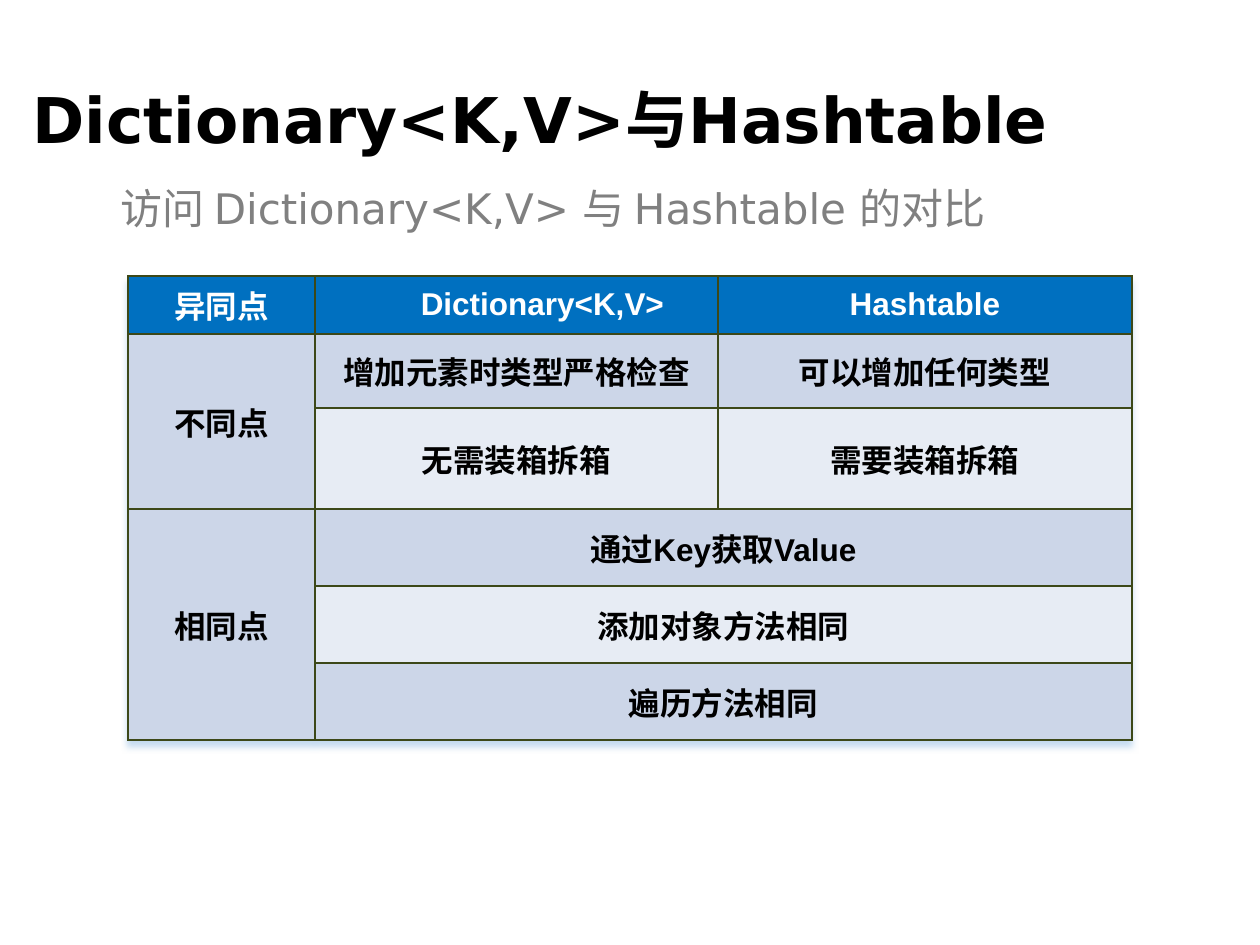
"""Build a slide comparing Dictionary<K,V> with Hashtable."""
from lxml.etree import SubElement
from pptx import Presentation
from pptx.dml.color import RGBColor
from pptx.enum.text import MSO_ANCHOR, PP_ALIGN
from pptx.oxml import parse_xml
from pptx.oxml.ns import nsdecls, qn
from pptx.util import Emu, Inches, Pt

PIXEL = 914400 / 126
COLORS = {
    "black": "000000", "white": "FFFFFF", "gray": "808080", "header": "0070C0",
    "dark_band": "CCD6E8", "light_band": "E7ECF4", "border": "3C4818", "shadow": "9DC3E6",
}


def px(length):
    """Turn pixels into EMU."""
    return Emu(round(length * PIXEL))


class ComparisonSlide:
    """Hold the style and the slide."""

    heading_font = "DejaVu Sans"
    table_font = "Arial"

    def __init__(self, presentation):
        """Add a title-only slide."""
        self.slide = presentation.slides.add_slide(presentation.slide_layouts[5])

    def set_text(self, text_frame, text, font, size, color, bold=False,
                 align=PP_ALIGN.LEFT, space_before=0):
        """Set and format one paragraph."""
        text_frame.text = text
        paragraph = text_frame.paragraphs[0]
        paragraph.alignment = align
        paragraph.space_before = Pt(space_before)
        for run in paragraph.runs:
            run.font.name = font
            run.font.size = Pt(size)
            run.font.bold = bold
            run.font.color.rgb = RGBColor.from_string(COLORS[color])

    def title(self, text, left, top, width, height):
        """Place the title."""
        shape = self.slide.shapes.title
        shape.left, shape.top, shape.width, shape.height = map(px, (left, top, width, height))
        shape.text_frame.vertical_anchor = MSO_ANCHOR.MIDDLE
        self.set_text(shape.text_frame, text, self.heading_font, 36, "black", bold=True)

    def subtitle(self, text, left, top, width, height):
        """Add the line below the title."""
        shape = self.slide.shapes.add_textbox(*map(px, (left, top, width, height)))
        shape.text_frame.word_wrap = True
        self.set_text(shape.text_frame, text, self.heading_font, 24, "gray", space_before=1.5)

    def table(self, left, top, columns, rows, merges):
        """Add an unstyled table with merged cells."""
        frame = self.slide.shapes.add_table(
            len(rows), len(columns), *map(px, (left, top, sum(columns), sum(rows))))
        table = frame.table
        for column, width in zip(table.columns, columns):
            column.width = px(width)
        for row, height in zip(table.rows, rows):
            row.height = px(height)
        for first, last in merges:
            table.cell(*first).merge(table.cell(*last))
        properties = frame._element.graphic.graphicData.tbl.tblPr
        properties.insert(0, parse_xml(
            f'<a:effectLst {nsdecls("a")}><a:outerShdw blurRad="40000" dist="50000" '
            f'dir="5400000" rotWithShape="0"><a:srgbClr val="{COLORS["shadow"]}">'
            '<a:alpha val="60000"/></a:srgbClr></a:outerShdw></a:effectLst>'))
        return table

    def cell(self, cell, text, fill, header=False, indent=0):
        """Format one cell."""
        properties = cell._tc.get_or_add_tcPr()
        for side in ("lnL", "lnR", "lnT", "lnB"):
            line = SubElement(properties, qn(f"a:{side}"), w=str(int(Pt(1))))
            SubElement(SubElement(line, qn("a:solidFill")), qn("a:srgbClr"),
                       val=COLORS["border"])
        cell.fill.solid()
        cell.fill.fore_color.rgb = RGBColor.from_string(COLORS[fill])
        cell.vertical_anchor = MSO_ANCHOR.MIDDLE
        cell.margin_left = Emu(Inches(0.11) + px(indent))
        cell.margin_right = Inches(0.11)
        cell.margin_top = cell.margin_bottom = Inches(0.05)
        if text:
            self.set_text(cell.text_frame, text, self.table_font, 18,
                          "white" if header else "black", True, PP_ALIGN.CENTER,
                          4 if header else 0)


ROWS = [
    ("异同点", "Dictionary<K,V>", "Hashtable"),
    ("不同点", "增加元素时类型严格检查", "可以增加任何类型"),
    ("", "无需装箱拆箱", "需要装箱拆箱"),
    ("相同点", "通过Key获取Value", ""),
    ("", "添加对象方法相同", ""),
    ("", "遍历方法相同", ""),
]
MERGES = [((1, 0), (2, 0)), ((3, 0), (5, 0))] + [((row, 1), (row, 2)) for row in (3, 4, 5)]

presentation = Presentation()
presentation.slide_width, presentation.slide_height = px(1260), px(945)
comparison = ComparisonSlide(presentation)
comparison.title("Dictionary<K,V>与Hashtable", 20, 69, 1218, 98)
comparison.subtitle("访问 Dictionary<K,V> 与 Hashtable 的对比", 108, 176, 1091, 723)
table = comparison.table(128, 276, (187, 403, 414), (58, 74, 101, 77, 77, 77), MERGES)
for row, texts in enumerate(ROWS):
    for column, text in enumerate(texts):
        header = row == 0
        light = column > 0 and row % 2 == 0
        fill = "header" if header else "light_band" if light else "dark_band"
        indent = 52 if header and column == 1 else 0
        comparison.cell(table.cell(row, column), text, fill, header, indent)
presentation.save("out.pptx")
